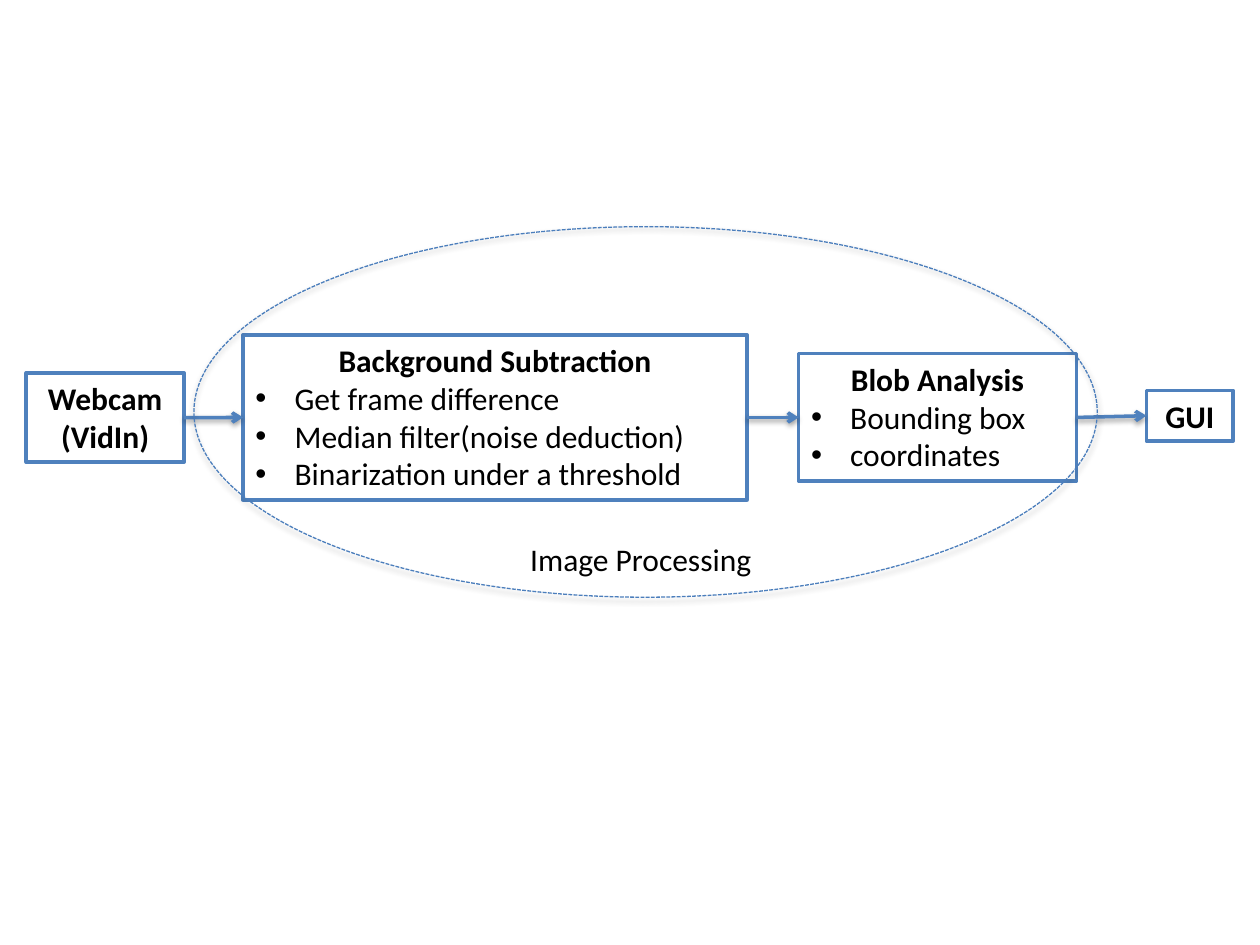
"""Build a slide showing a webcam image-processing pipeline."""
from dataclasses import dataclass
from itertools import pairwise

from lxml.etree import SubElement
from pptx import Presentation
from pptx.dml.color import RGBColor
from pptx.enum.dml import MSO_LINE
from pptx.enum.shapes import MSO_CONNECTOR, MSO_SHAPE
from pptx.enum.text import MSO_ANCHOR, MSO_AUTO_SIZE, PP_ALIGN
from pptx.oxml.ns import qn
from pptx.util import Cm, Pt

BLUE = RGBColor(0x4F, 0x81, 0xBD)
OVAL_BLUE = RGBColor(0x4B, 0x7E, 0xBC)
WHITE = RGBColor(0xFF, 0xFF, 0xFF)
BLACK = RGBColor(0x00, 0x00, 0x00)
FRAME_FORMAT = {
    "word_wrap": True,
    "auto_size": MSO_AUTO_SIZE.SHAPE_TO_FIT_TEXT,
    "vertical_anchor": MSO_ANCHOR.TOP,
}
FONT_FORMAT = {"name": "Calibri", "size": Pt(18)}
BULLET_INDENT = Cm(0.79)


@dataclass(frozen=True)
class Stage:
    left: float
    top: float
    width: float
    height: float
    titles: tuple[str, ...]
    steps: tuple[str, ...] = ()


STAGES = (
    Stage(0.53, 7.52, 3.18, 1.8, ("Webcam", "(VidIn)")),
    Stage(4.9, 6.75, 10.16, 3.33, ("Background Subtraction",),
          ("Get frame difference", "Median filter(noise deduction)",
           "Binarization under a threshold")),
    Stage(16.1, 7.13, 5.6, 2.57, ("Blob Analysis",), ("Bounding box", "coordinates")),
    Stage(23.11, 7.87, 1.75, 1.02, ("GUI",)),
)


def apply_format(target, values: dict) -> None:
    for attribute, value in values.items():
        setattr(target, attribute, value)


def add_shadow(item, opacity: int, distance: float) -> None:
    effects = SubElement(item.element.spPr, qn("a:effectLst"))
    shadow = SubElement(effects, qn("a:outerShdw"), blurRad=str(Pt(3.1)),
                        dist=str(Pt(distance)), dir="5400000", rotWithShape="0")
    color = SubElement(shadow, qn("a:srgbClr"), val=str(BLACK))
    SubElement(color, qn("a:alpha"), val=str(opacity * 1000))


def add_bullet(paragraph) -> None:
    properties = paragraph._p.get_or_add_pPr()
    properties.set("marL", str(BULLET_INDENT))
    properties.set("indent", str(-BULLET_INDENT))
    SubElement(properties, qn("a:buFont"), typeface="Arial")
    SubElement(properties, qn("a:buChar"), char="•")


def write_text(frame, titles: tuple[str, ...], steps: tuple[str, ...] = (),
               bold: bool = True, title_align=PP_ALIGN.CENTER) -> None:
    apply_format(frame, FRAME_FORMAT)
    for index, text in enumerate(titles + steps):
        paragraph = frame.add_paragraph() if index else frame.paragraphs[0]
        is_title = index < len(titles)
        paragraph.alignment = title_align if is_title else PP_ALIGN.LEFT
        if not is_title:
            add_bullet(paragraph)
        run = paragraph.add_run()
        run.text = text
        apply_format(run.font, FONT_FORMAT | {"bold": bold and is_title})
        run.font.color.rgb = BLACK


def add_stage(shapes, stage: Stage):
    box = shapes.add_shape(MSO_SHAPE.RECTANGLE, Cm(stage.left), Cm(stage.top),
                           Cm(stage.width), Cm(stage.height))
    box.shadow.inherit = False
    box.fill.solid()
    box.fill.fore_color.rgb = WHITE
    box.line.color.rgb = BLUE
    box.line.width = Pt(2)
    write_text(box.text_frame, stage.titles, stage.steps)
    return box


def add_arrow(shapes, source, target) -> None:
    arrow = shapes.add_connector(MSO_CONNECTOR.STRAIGHT, 0, 0, 0, 0)
    arrow.begin_connect(source, 3)
    arrow.end_connect(target, 1)
    arrow.line.color.rgb = BLUE
    arrow.line.width = Pt(2)
    SubElement(arrow.get_or_add_ln(), qn("a:tailEnd"), type="arrow")
    add_shadow(arrow, 38, 1.6)


def add_processing_group(shapes) -> None:
    oval = shapes.add_shape(MSO_SHAPE.OVAL, Cm(3.91), Cm(4.57), Cm(18.21), Cm(7.47))
    oval.fill.background()
    oval.line.color.rgb = OVAL_BLUE
    oval.line.width = Pt(0.75)
    oval.line.dash_style = MSO_LINE.SQUARE_DOT
    add_shadow(oval, 35, 1.8)
    label = shapes.add_textbox(Cm(10.44), Cm(10.77), Cm(7.37), Cm(1.02))
    write_text(label.text_frame, ("Image Processing",), bold=False,
               title_align=PP_ALIGN.LEFT)


def main() -> None:
    presentation = Presentation()
    presentation.slide_width = Cm(25.4)
    presentation.slide_height = Cm(19.05)
    shapes = presentation.slides.add_slide(presentation.slide_layouts[6]).shapes
    boxes = [add_stage(shapes, stage) for stage in STAGES]
    for source, target in pairwise(boxes):
        add_arrow(shapes, source, target)
    add_processing_group(shapes)
    presentation.save("out.pptx")


if __name__ == "__main__":
    main()
